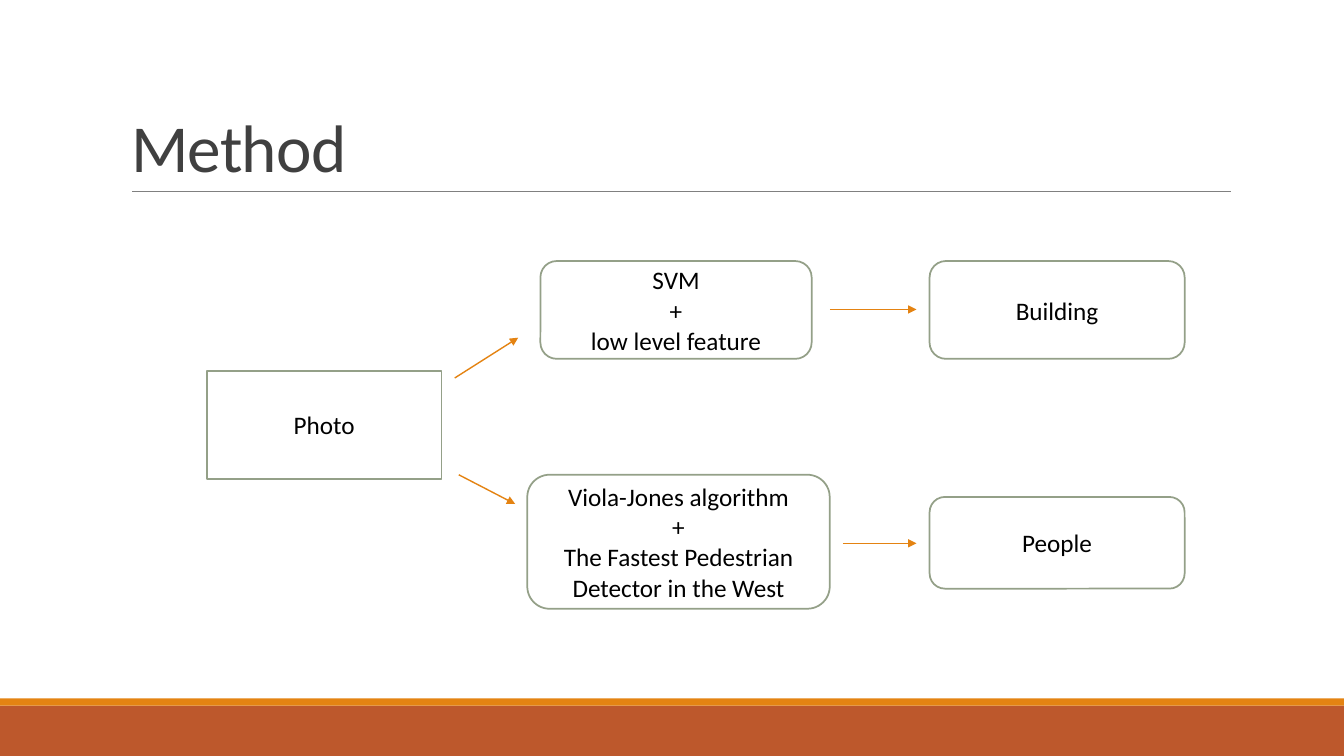
from dataclasses import dataclass

import pptx
import pptx.dml.color
import pptx.enum.shapes
import pptx.enum.text
import pptx.oxml.xmlchemy
import pptx.util
from pptx.util import Inches


@dataclass(frozen=True)
class Theme:
    font: str = "Calibri"
    title_size: int = 48
    body_size: int = 18
    title: str = "404040"
    text: str = "000000"
    paper: str = "FFFFFF"
    outline: str = "94A088"
    accent: str = "E48312"
    footer: str = "BD582C"
    rule: str = "808080"


theme = Theme()
rgb = pptx.dml.color.RGBColor.from_string
new_element = pptx.oxml.xmlchemy.OxmlElement
SHAPE = pptx.enum.shapes.MSO_SHAPE
ANCHOR = pptx.enum.text.MSO_ANCHOR
ALIGN = pptx.enum.text.PP_ALIGN


def add_run(p, text, size, color):
    r = p.add_run()
    r.text = text
    r.font.name = theme.font
    r.font.size = pptx.util.Pt(size)
    r.font.color.rgb = rgb(color)
    return r


def add_line(start, end, color, width):
    """Draw a straight connector without the theme shadow."""
    line = s.shapes.add_connector(
        pptx.enum.shapes.MSO_CONNECTOR.STRAIGHT,
        *(Inches(v) for v in (*start, *end)))
    line.line.color.rgb = rgb(color)
    line.line.width = pptx.util.Pt(width)
    line._element.spPr.append(new_element("a:effectLst"))
    return line


prs = pptx.Presentation()
prs.slide_width, prs.slide_height = Inches(13.33), Inches(7.5)
s = prs.slides.add_slide(prs.slide_layouts[5])

# Footer bands and title rule
for top, height, color in [(7, 0.5, theme.footer), (6.93, 0.07, theme.accent)]:
    band = s.shapes.add_shape(SHAPE.RECTANGLE, 0, Inches(top),
                              prs.slide_width, Inches(height))
    band.shadow.inherit = False
    band.fill.solid()
    band.fill.fore_color.rgb = rgb(color)
    band.line.fill.background()
add_line((1.31, 1.9), (12.21, 1.9), theme.rule, 0.5)

# Title
title = s.shapes.title
title.left, title.top = Inches(1.2), Inches(0.31)
title.width, title.height = Inches(11), Inches(1.59)
tf = title.text_frame
tf.auto_size = pptx.enum.text.MSO_AUTO_SIZE.NONE
tf.word_wrap = True
tf.vertical_anchor = ANCHOR.BOTTOM
p = tf.paragraphs[0]
p.alignment = ALIGN.LEFT
p.line_spacing = 0.85
r = add_run(p, "Method", theme.title_size, theme.title)
r.font._element.set("spc", "-50")

# Boxes: preset, left, top, width, height, paragraphs made of lines
boxes = [
    (SHAPE.RECTANGLE, 2.05, 3.68, 2.33, 1.07, [["Photo"]]),
    (SHAPE.ROUNDED_RECTANGLE, 5.36, 2.59, 2.69, 0.97,
     [["SVM"], ["+"], ["low level feature"]]),
    (SHAPE.ROUNDED_RECTANGLE, 5.23, 4.71, 3, 1.33,
     [["Viola-Jones algorithm"],
      ["+", "The Fastest Pedestrian Detector in the West"]]),
    (SHAPE.ROUNDED_RECTANGLE, 9.22, 2.59, 2.53, 0.97, [["Building"]]),
    (SHAPE.ROUNDED_RECTANGLE, 9.22, 4.93, 2.53, 0.91, [["People"]]),
]
for preset, left, top, width, height, paragraphs in boxes:
    sp = s.shapes.add_shape(preset, Inches(left), Inches(top),
                            Inches(width), Inches(height))
    sp.shadow.inherit = False
    sp.fill.solid()
    sp.fill.fore_color.rgb = rgb(theme.paper)
    sp.line.color.rgb = rgb(theme.outline)
    sp.line.width = pptx.util.Pt(1.25)
    tf = sp.text_frame
    tf.word_wrap = True
    tf.vertical_anchor = ANCHOR.MIDDLE
    for i, lines in enumerate(paragraphs):
        p = tf.add_paragraph() if i else tf.paragraphs[0]
        p.alignment = ALIGN.CENTER
        for j, text in enumerate(lines):
            if j:
                p.add_line_break()
            add_run(p, text, theme.body_size, theme.text)

# Arrows between the steps
arrows = [
    ((4.51, 3.75), (5.14, 3.35)),
    ((4.55, 4.71), (5.11, 5)),
    ((8.23, 3.07), (9.09, 3.07)),
    ((8.36, 5.39), (9.09, 5.39)),
]
for start, end in arrows:
    arrow = add_line(start, end, theme.accent, 1)
    tail = new_element("a:tailEnd")
    tail.set("type", "triangle")
    arrow.line._get_or_add_ln().append(tail)

prs.save("out.pptx")
